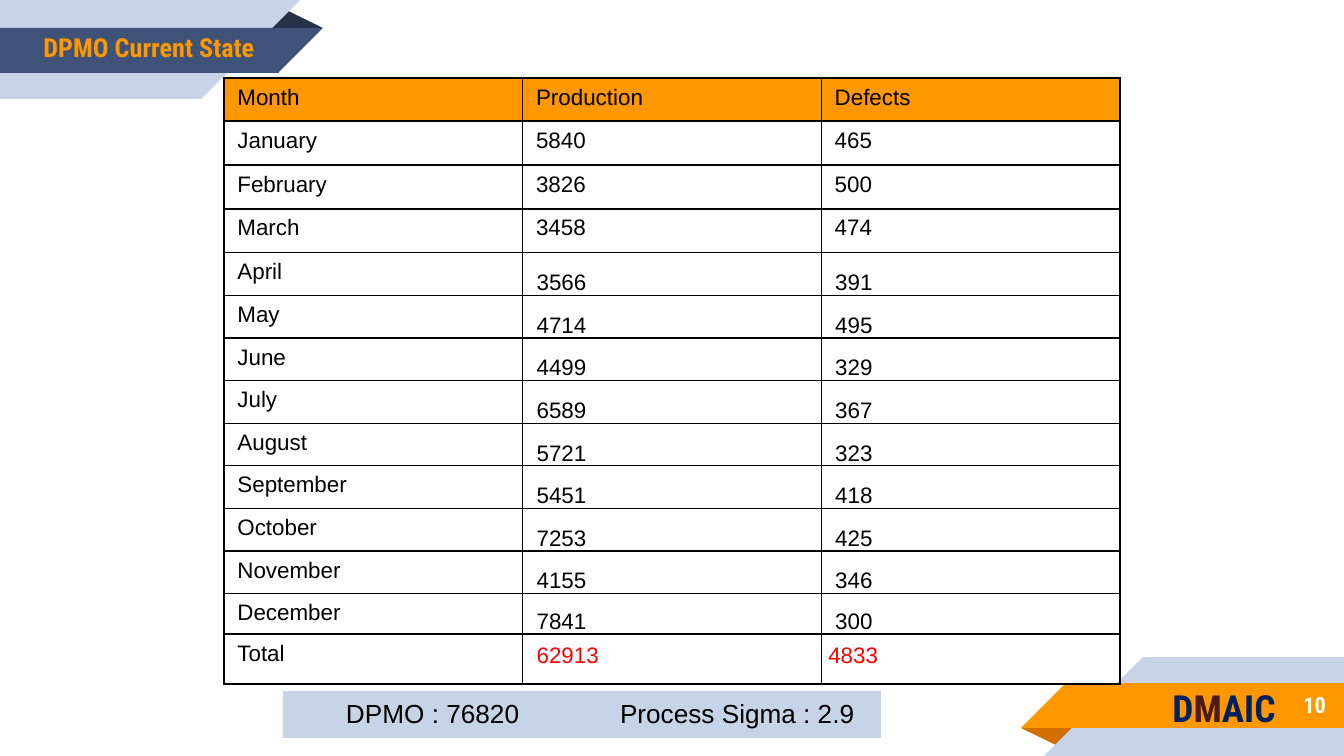
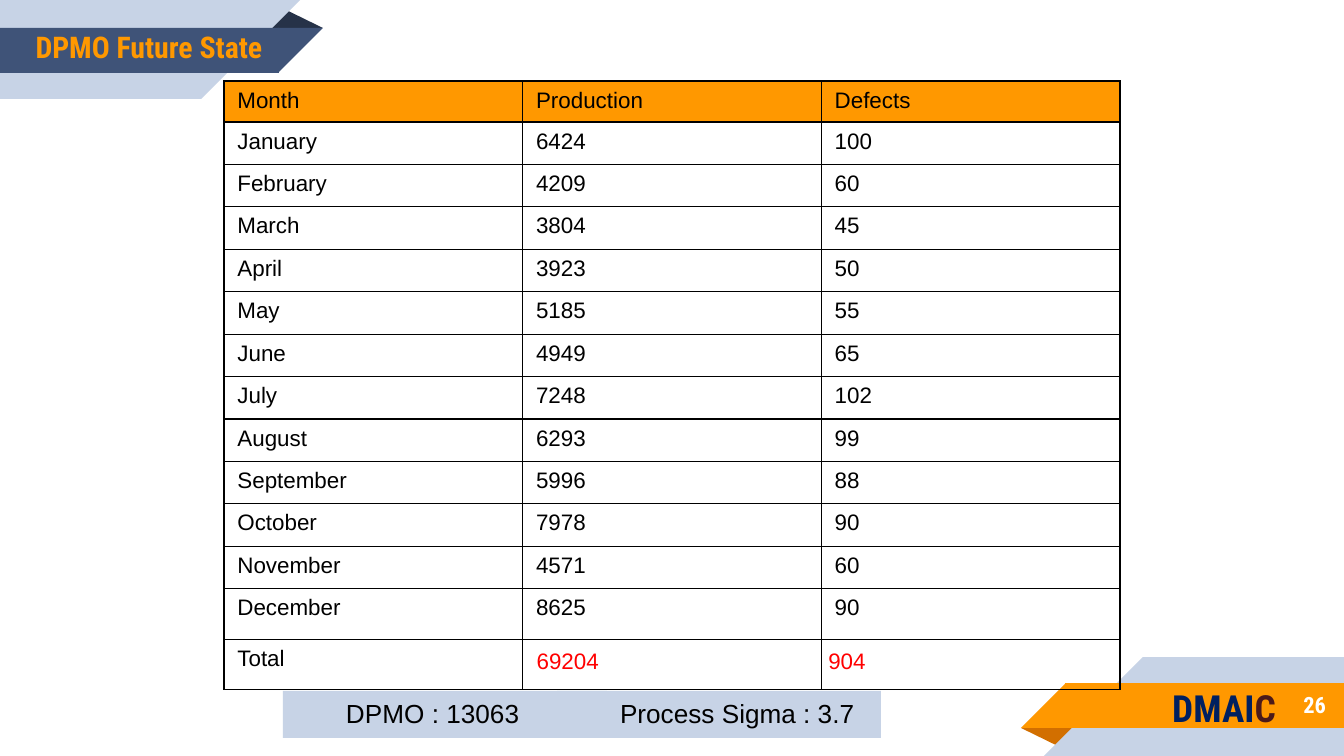
import pptx
import pptx.dml.color
import pptx.enum.shapes
import pptx.enum.text
import pptx.oxml
import pptx.oxml.ns
import pptx.util

PX = 914400 / 134.4
W, H = 1344, 756
COLORS = {
    "orange": "FF9800", "burnt": "D26F00", "pale": "C7D3E6", "slate": "3F5378",
    "night": "263248", "navy": "002060", "maroon": "4B1A1A",
    "red": "FF0000", "black": "000000", "white": "FFFFFF",
}
HEAD_FONT, BODY_FONT = "Roboto Condensed", "Arial"
SHAPES = pptx.enum.shapes.MSO_SHAPE
ALIGN = pptx.enum.text.PP_ALIGN
ANCHOR = pptx.enum.text.MSO_ANCHOR

HEADER = ("Month", "Production", "Defects")
MONTHS = ("January", "February", "March", "April", "May", "June", "July",
          "August", "September", "October", "November", "December")

# Row groups are (total height, number of equal rows)
SLIDES = [
    dict(title="DPMO Current State", title_size=14, page="10", phase="M",
         top=78, row_groups=[(43, 1), (132, 3), (341, 8), (39, 1), (50, 1)],
         production=(5840, 3826, 3458, 3566, 4714, 4499,
                     6589, 5721, 5451, 7253, 4155, 7841),
         defects=(465, 500, 474, 391, 495, 329, 367, 323, 418, 425, 346, 300),
         totals=("Total", 62913, 4833), low_rows=range(4, 13),
         results=("DPMO : 76820", "Process Sigma : 2.9")),
    dict(title="DPMO Future State", title_size=16, page="26", phase="C",
         top=81, row_groups=[(41, 1), (467, 11), (101, 2)],
         production=(6424, 4209, 3804, 3923, 5185, 4949,
                     7248, 6293, 5996, 7978, 4571, 8625),
         defects=(100, 60, 45, 50, 55, 65, 102, 99, 88, 90, 60, 90),
         totals=("Total", 69204, 904), low_rows=(),
         results=("DPMO : 13063", "Process Sigma : 3.7")),
]


def px(n):
    return pptx.util.Emu(round(n * PX))


def rgb(name):
    return pptx.dml.color.RGBColor.from_string(COLORS[name])


def set_all(obj, **values):
    for name, value in values.items():
        setattr(obj, name, value)


def add_runs(p, runs, size, font, bold=False):
    for text, color in runs:
        r = p.add_run()
        r.text = text
        set_all(r.font, size=pptx.util.Pt(size), name=font, bold=bold)
        r.font.color.rgb = rgb(color)


def add_block(s, kind, box, color, rotation=0):
    sp = s.shapes.add_shape(kind, *map(px, box))
    sp.shadow.inherit = False
    sp.fill.solid()
    sp.fill.fore_color.rgb = rgb(color)
    sp.line.fill.background()
    sp.rotation = rotation
    return sp


def add_label(s, box, runs, size, align):
    tf = s.shapes.add_textbox(*map(px, box)).text_frame
    set_all(tf, word_wrap=True, vertical_anchor=ANCHOR.MIDDLE,
            **{f"margin_{side}": px(13) for side in ("left", "right", "top", "bottom")})
    p = tf.paragraphs[0]
    p.alignment = align
    add_runs(p, runs, size, HEAD_FONT, bold=True)


def add_ribbon(s, left, top, band, fold, turn=0):
    """Corner ribbon; a turn of 180 gives the one for the opposite corner."""
    width, height = 323, 99
    parts = [
        (SHAPES.ISOSCELES_TRIANGLE, (266, 9, 57, 19), fold, 0),
        (SHAPES.RECTANGLE, (0, 0, 201, 99), "pale", 0),
        (SHAPES.RIGHT_TRIANGLE, (201, 0, 99, 99), "pale", 90),
        (SHAPES.RECTANGLE, (0, 28, 279, 45), band, 0),
        (SHAPES.RIGHT_TRIANGLE, (278, 28, 45, 45), band, 90),
    ]
    for kind, (x, y, w, h), color, rotation in parts:
        if turn:
            x, y = width - x - w, height - y - h
        sp = add_block(s, kind, (left + x, top + y, w, h), color, rotation + turn)
        if kind == SHAPES.ISOSCELES_TRIANGLE:
            sp.adjustments[0] = 0.32


def add_header(s, left, top, title, size):
    add_ribbon(s, left, top, "slate", "night")
    add_label(s, (left - 13, top + 20, 324, 54), [(title, "orange")], size, ALIGN.CENTER)


def add_footer(s, left, top, page):
    add_ribbon(s, left, top, "orange", "burnt", turn=180)
    add_label(s, (left + 99, top + 24, 219, 47), [(page, "white")], 12, ALIGN.RIGHT)


def add_phase(s, left, top, phase):
    """DMAIC with the current phase picked out."""
    runs = [(text, "maroon" if text == phase else "navy")
            for text in "DMAIC".partition(phase) if text]
    add_label(s, (left, top, 228, 54), runs, 20, ALIGN.CENTER)


def add_borders(cell):
    tcPr = cell._tc.get_or_add_tcPr()
    for i, side in enumerate(("lnL", "lnR", "lnT", "lnB")):
        tcPr.insert(i, pptx.oxml.parse_xml(
            f'<a:{side} {pptx.oxml.ns.nsdecls("a")} w="{pptx.util.Pt(0.75)}"><a:solidFill>'
            f'<a:srgbClr val="{COLORS["black"]}"/></a:solidFill></a:{side}>'))


def add_month_table(s, left, top, width, data):
    rows = [HEADER, *zip(MONTHS, data["production"], data["defects"]), data["totals"]]
    heights = [px(span) // n for span, n in data["row_groups"] for _ in range(n)]
    last = len(rows) - 1
    frame = s.shapes.add_table(len(rows), len(HEADER), px(left), px(top),
                               px(width), pptx.util.Emu(sum(heights)))
    table = frame.table
    set_all(table, first_row=False, horz_banding=False)
    for column in table.columns:
        column.width = px(width) // len(HEADER)
    for i, values in enumerate(rows):
        table.rows[i].height = heights[i]
        for j, value in enumerate(values):
            cell = table.cell(i, j)
            if i == 0:
                cell.fill.solid()
                cell.fill.fore_color.rgb = rgb("orange")
            else:
                cell.fill.background()
            add_borders(cell)
            # Figures that sit low in their cell
            is_total = i == last and j > 0
            if is_total or (j > 0 and i in data["low_rows"]):
                set_all(cell, vertical_anchor=ANCHOR.BOTTOM, margin_top=px(1),
                        margin_right=px(1), margin_bottom=px(16 if is_total else 0),
                        margin_left=px(7 if is_total and j == 2 else 14))
            add_runs(cell.text_frame.paragraphs[0],
                     [(str(value), "red" if is_total else "black")], 12, BODY_FONT)


def add_results(s, left, top, results):
    for i, text in enumerate(results):
        sp = add_block(s, SHAPES.RECTANGLE, (left + 274 * i, top, 324, 47), "pale")
        tf = sp.text_frame
        set_all(tf, word_wrap=True, vertical_anchor=ANCHOR.TOP, margin_left=px(63))
        p = tf.paragraphs[0]
        p.alignment = ALIGN.LEFT
        add_runs(p, [(text, "black")], 14, BODY_FONT)


def add_dpmo_slide(prs, data):
    s = prs.slides.add_slide(prs.slide_layouts[6])
    s.background.fill.solid()
    s.background.fill.fore_color.rgb = rgb("white")
    add_header(s, 0, 0, data["title"], data["title_size"])
    add_footer(s, W - 323, H - 99, data["page"])
    add_month_table(s, 224, data["top"], 896, data)
    add_results(s, 283, 691, data["results"])
    add_phase(s, 1110, 681, data["phase"])


def main():
    prs = pptx.Presentation()
    set_all(prs, slide_width=px(W), slide_height=px(H))
    for data in SLIDES:
        add_dpmo_slide(prs, data)
    prs.save("out.pptx")


if __name__ == "__main__":
    main()
